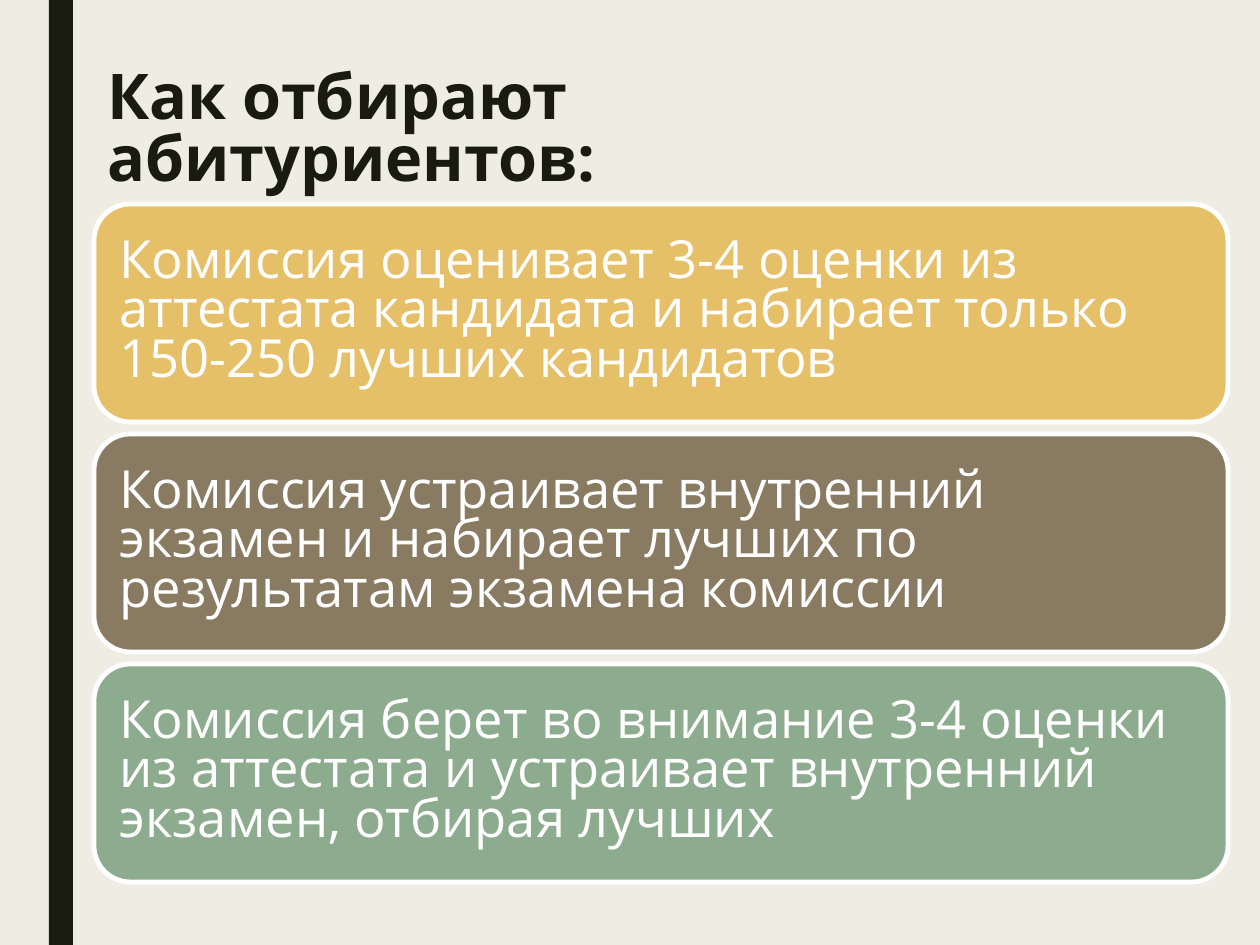
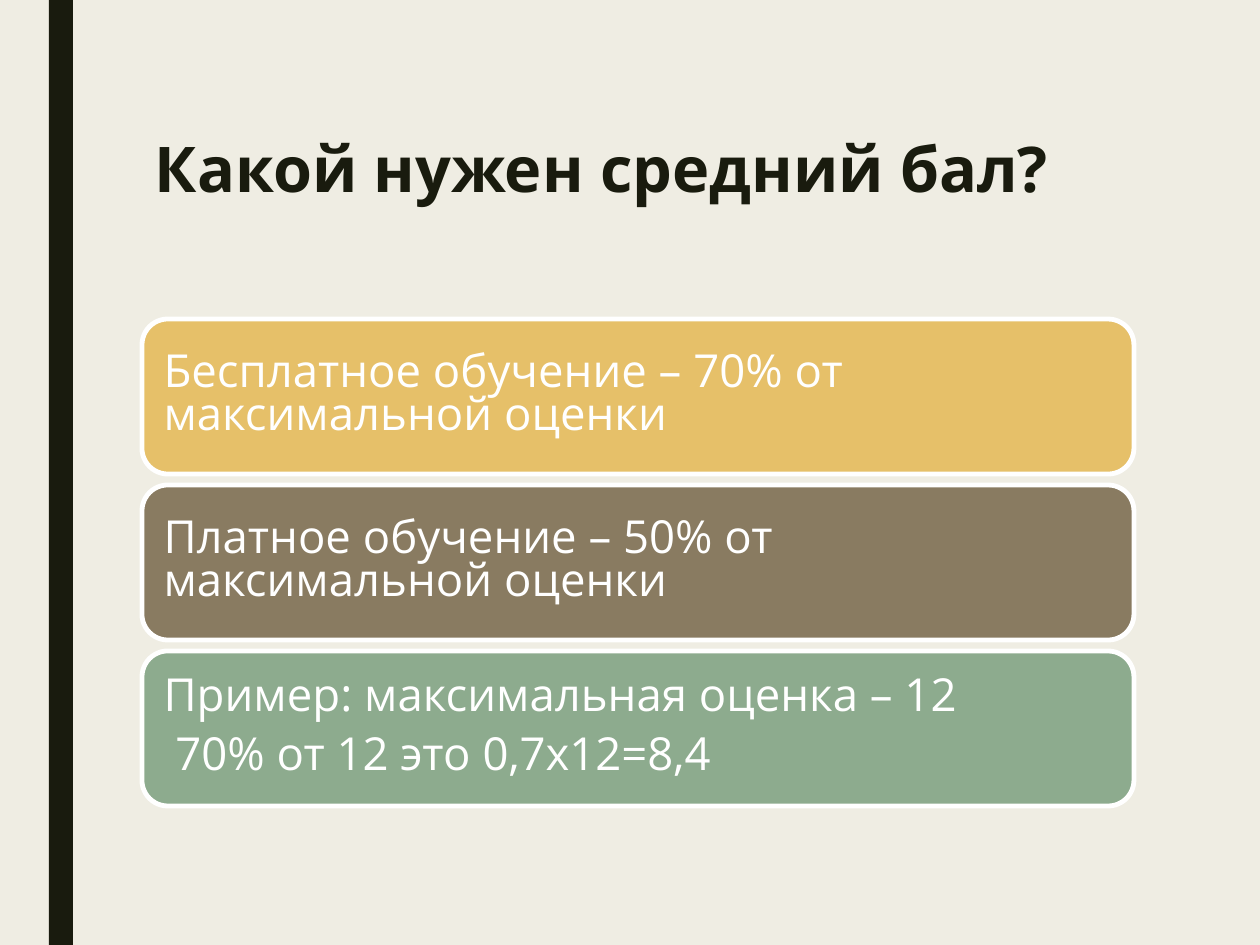
import pptx
import pptx.util
import pptx.dml.color
import pptx.enum.shapes
import pptx.enum.text

SCALE = 914400 // 126
WIDE, HIGH = 1260, 945
FONT = "Open Sans"
PAPER, INK, WHITE = "EFEDE3", "191B0E", "FFFFFF"
FILLS = ["E6C069", "897B61", "8DAB8E"]
SHAPE = pptx.enum.shapes.MSO_SHAPE
ANCHOR = pptx.enum.text.MSO_ANCHOR


def px(num):
    return pptx.util.Emu(num * SCALE)


def tint(code):
    return pptx.dml.color.RGBColor.from_string(code)


def write(frame, text, size, color, bold=False, lead=0.9, after=0,
          anchor=ANCHOR.TOP, inset=(13, 6)):
    frame.word_wrap = True
    frame.vertical_anchor = anchor
    frame.margin_left = frame.margin_right = px(inset[0])
    frame.margin_top = frame.margin_bottom = px(inset[1])
    for num, line in enumerate(text.split("\n")):
        para = frame.add_paragraph() if num else frame.paragraphs[0]
        para.alignment = pptx.enum.text.PP_ALIGN.LEFT
        para.line_spacing = lead
        para.space_after = pptx.util.Pt(after)
        run = para.add_run()
        run.text = line
        run.font.name = FONT
        run.font.size = pptx.util.Pt(size)
        run.font.bold = bold
        run.font.color.rgb = tint(color)


def block(slide, kind, box, fill, edge=None):
    shape = slide.shapes.add_shape(kind, *map(px, box))
    shape.shadow.inherit = False
    shape.fill.solid()
    shape.fill.fore_color.rgb = tint(fill)
    if edge:
        shape.line.color.rgb = tint(edge)
        shape.line.width = pptx.util.Pt(2.75)
    else:
        shape.line.fill.background()
    return shape


def page(deck, title, left, top):
    slide = deck.slides.add_slide(deck.slide_layouts[6])
    slide.background.fill.solid()
    slide.background.fill.fore_color.rgb = tint(PAPER)
    block(slide, SHAPE.RECTANGLE, (49, 0, 24, HIGH), INK)
    head = slide.shapes.add_textbox(*map(px, (left, top, 992, 204)))
    write(head.text_frame, title, 36, INK, bold=True, lead=0.83)
    return slide


def cards(slide, texts, box, step, size, inset):
    left, top, wide, high = box
    for num, (text, fill) in enumerate(zip(texts, FILLS)):
        place = (left, top + num * step, wide, high)
        card = block(slide, SHAPE.ROUNDED_RECTANGLE, place, fill, WHITE)
        write(card.text_frame, text, size, WHITE, lead=0.79,
              after=size * 0.35, anchor=ANCHOR.MIDDLE, inset=(inset, inset))


def main():
    deck = pptx.Presentation()
    deck.slide_width, deck.slide_height = px(WIDE), px(HIGH)

    slide = page(deck, "Как отбирают абитуриентов:", 94, 63)
    cards(slide, [
        "Комиссия оценивает 3-4 оценки из аттестата кандидата "
        "и набирает только 150-250 лучших кандидатов",
        "Комиссия устраивает внутренний экзамен и набирает лучших "
        "по результатам экзамена комиссии",
        "Комиссия берет во внимание 3-4 оценки из аттестата "
        "и устраивает внутренний экзамен, отбирая лучших",
    ], (94, 204, 1134, 218), 230, 30, 15)

    slide = page(deck, "Какой нужен средний бал?", 142, 136)
    cards(slide, [
        "Бесплатное обучение – 70% от максимальной оценки",
        "Платное обучение – 50% от максимальной оценки",
        "Пример: максимальная оценка – 12\n 70% от 12 это 0,7х12=8,4",
    ], (142, 319, 992, 155), 166, 26, 14)

    deck.save("out.pptx")


main()
